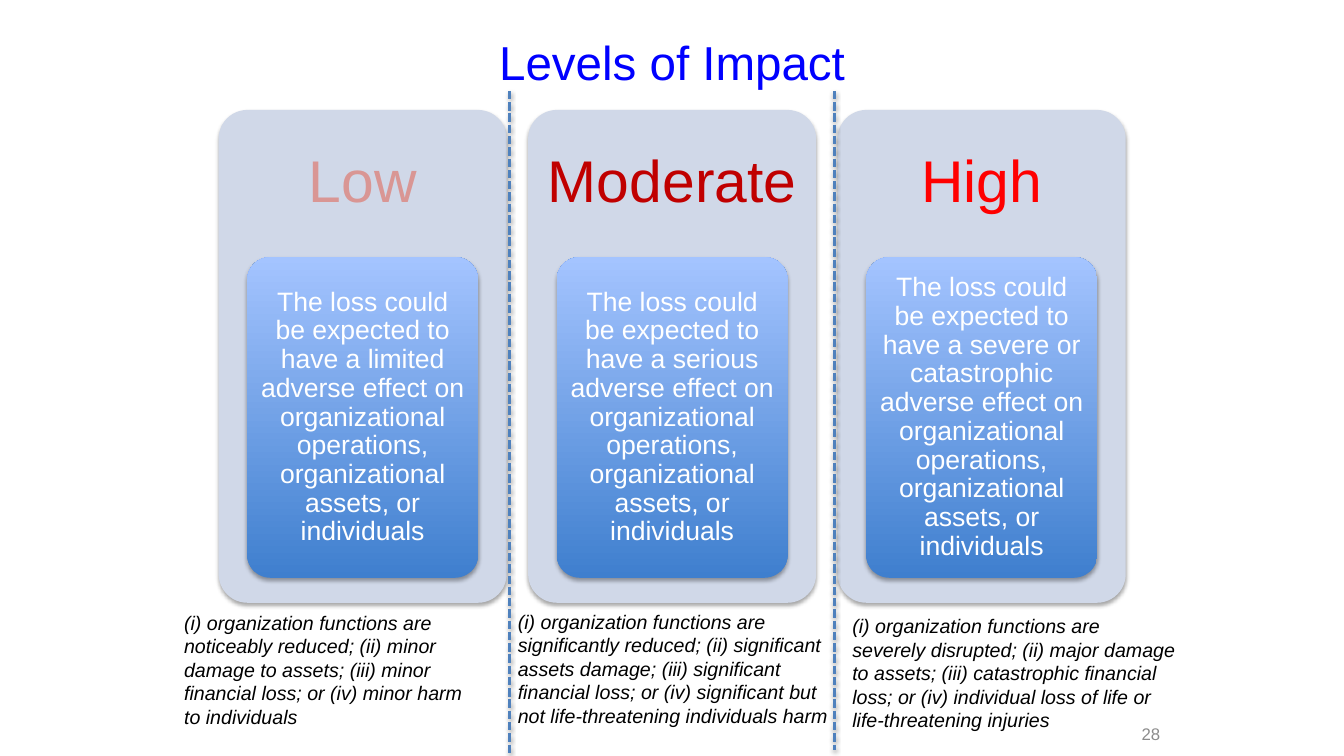
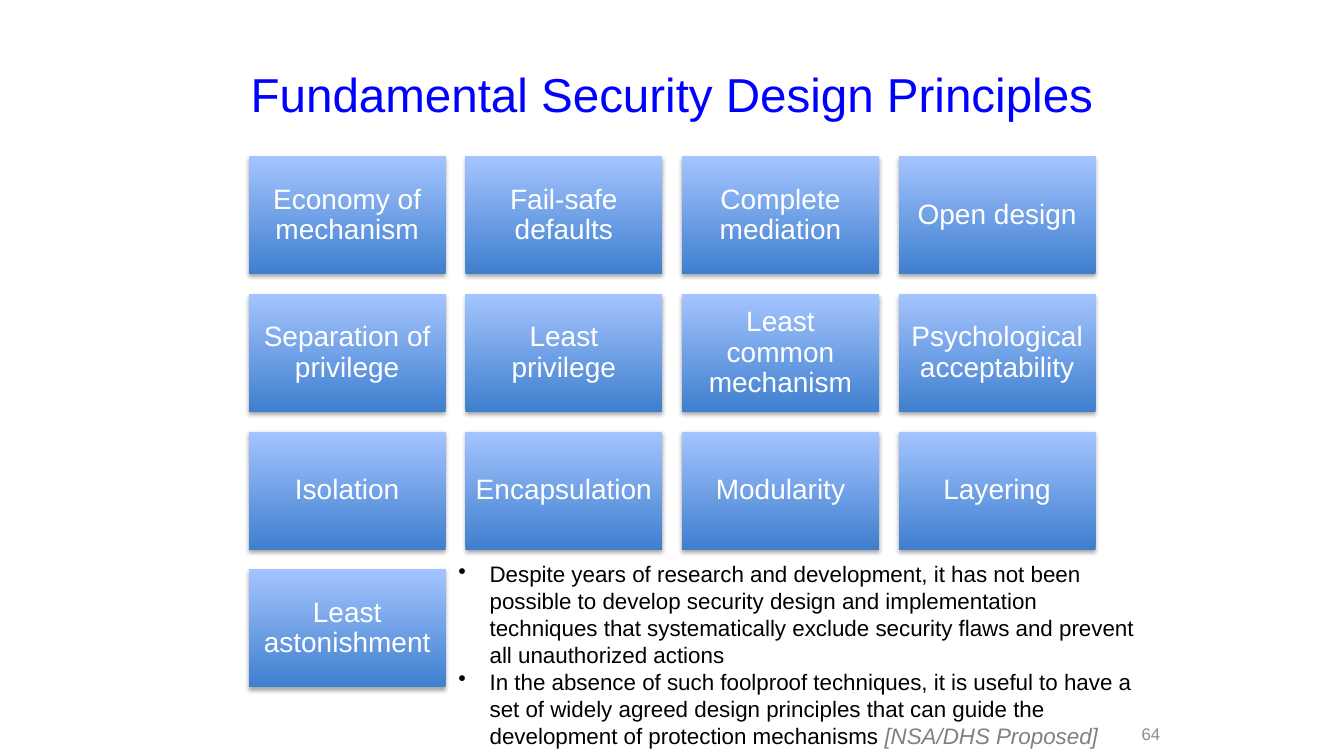
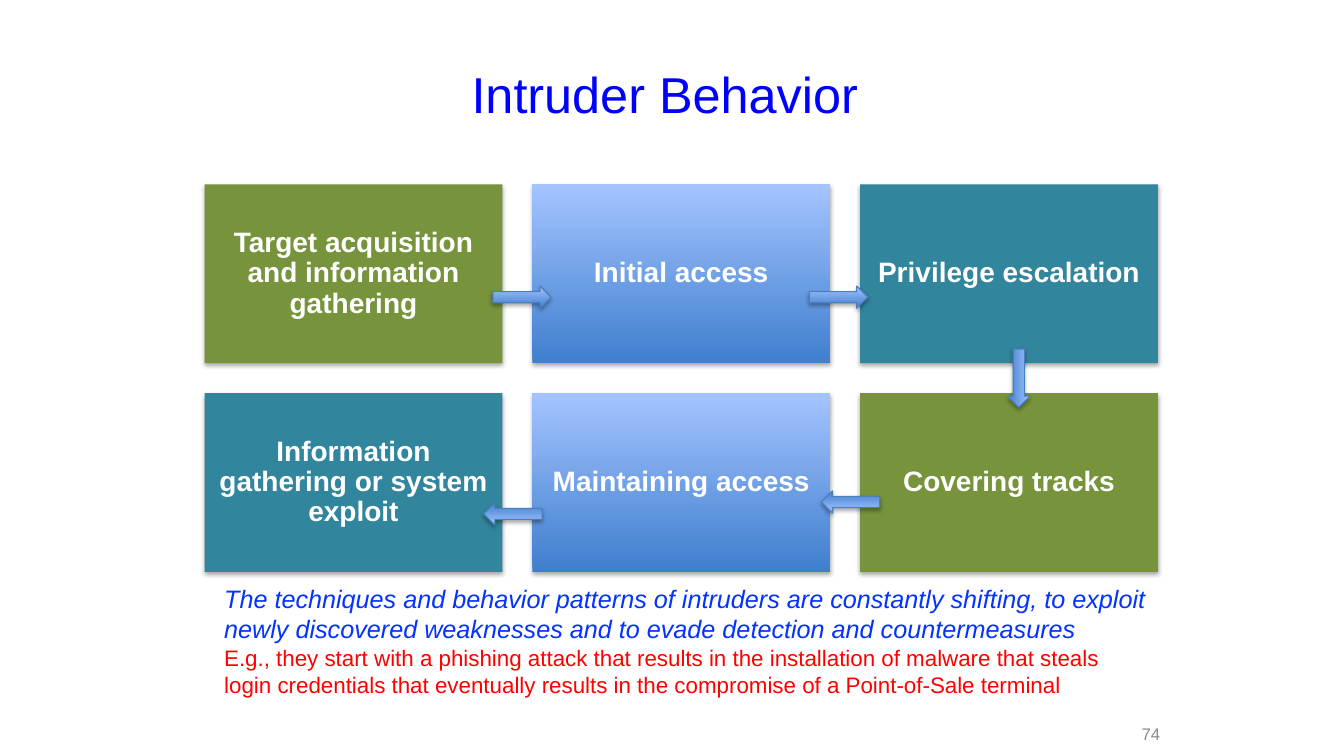
from dataclasses import dataclass

from lxml.etree import SubElement
from pptx import Presentation
from pptx.dml.color import RGBColor
from pptx.enum.dml import MSO_LINE
from pptx.enum.shapes import MSO_CONNECTOR, MSO_SHAPE as Preset
from pptx.enum.text import MSO_ANCHOR as Anchor, PP_ALIGN as Align
from pptx.oxml.ns import qn
from pptx.util import Cm, Pt


@dataclass(frozen=True)
class Theme:
    font: str = "Arial"
    title: str = "0000FF"
    page: str = "8C8C8C"
    ink: str = "000000"
    light: str = "FFFFFF"
    panel: str = "D0D8E8"
    gradient: tuple = ("3F7FCE", "A4C4FF")
    green: str = "77933C"
    teal: str = "31859C"
    divider: str = "4F81BD"
    arrow_edge: str = "4B7EBC"
    low: str = "D99694"
    moderate: str = "C00000"
    high: str = "FF0000"
    remark: str = "0432FF"
    citation: str = "808080"
    title_size: int = 34
    wide_title_size: int = 36
    level_size: int = 42
    tile_size: int = 20
    card_size: int = 19
    remark_size: int = 18
    body_size: int = 16
    note_size: int = 14
    page_size: int = 12


THEME = Theme()


@dataclass(frozen=True)
class Type:
    size: int
    color: str
    bold: bool = False
    italic: bool = False


class Deck:
    def __init__(self, theme):
        self.theme = theme
        self.presentation = Presentation()
        self.presentation.slide_width = Cm(33.87)
        self.presentation.slide_height = Cm(19.05)
        self.slide = None

    def start(self, title, page, box, size):
        self.slide = self.presentation.slides.add_slide(self.presentation.slide_layouts[6])
        theme = self.theme
        self.text(box, [[(title, Type(size, theme.title))]], Align.CENTER, Anchor.MIDDLE)
        self.text((27.76, 18.29, 1.73, 0.38), [[(page, Type(theme.page_size, theme.page))]],
                  Align.RIGHT, Anchor.MIDDLE)

    def typeset(self, frame, paragraphs, align, anchor, spacing=None, bulleted=False):
        frame.word_wrap = True
        frame.vertical_anchor = anchor
        for index, pieces in enumerate(paragraphs):
            paragraph = frame.add_paragraph() if index else frame.paragraphs[0]
            paragraph.alignment = align
            paragraph.line_spacing = spacing
            if bulleted:
                properties = paragraph._p.get_or_add_pPr()
                properties.set("marL", str(Cm(0.79)))
                properties.set("indent", str(-Cm(0.79)))
                SubElement(properties, qn("a:buChar"), char="•")
            paragraph.text = pieces[0][0]
            for words, _ in pieces[1:]:
                paragraph.add_run().text = words
            for run, (_, style) in zip(paragraph.runs, pieces):
                run.font.name = self.theme.font
                run.font.size = Pt(style.size)
                run.font.bold = style.bold
                run.font.italic = style.italic
                run.font.color.rgb = RGBColor.from_string(style.color)

    def text(self, box, paragraphs, align=Align.LEFT, anchor=Anchor.TOP, bulleted=False):
        frame = self.slide.shapes.add_textbox(*map(Cm, box)).text_frame
        self.typeset(frame, paragraphs, align, anchor, bulleted=bulleted)

    def shadow(self, effects, alpha, distance):
        outer = SubElement(effects, qn("a:outerShdw"), blurRad=str(Pt(3.1)),
                           dist=str(Pt(distance)), dir="5400000", rotWithShape="0")
        black = SubElement(outer, qn("a:srgbClr"), val="000000")
        SubElement(black, qn("a:alpha"), val=str(alpha * 1000))

    def block(self, preset, box, fill=None, edge=None):
        block = self.slide.shapes.add_shape(preset, *map(Cm, box))
        if preset == Preset.ROUNDED_RECTANGLE:
            block.adjustments[0] = 0.1
        if fill:
            block.fill.solid()
            block.fill.fore_color.rgb = RGBColor.from_string(fill)
        else:
            block.fill.gradient()
            block.fill.gradient_angle = 90
            for stop, color in zip(block.fill.gradient_stops, self.theme.gradient):
                stop.color.rgb = RGBColor.from_string(color)
        if edge:
            block.line.color.rgb = RGBColor.from_string(edge)
            block.line.width = Pt(0.75)
        else:
            block.line.fill.background()
        block.shadow.inherit = False
        self.shadow(block.element.spPr.find(qn("a:effectLst")), 35, 1.8)
        return block

    def label(self, preset, box, words, style, margins, fill=None):
        frame = self.block(preset, box, fill).text_frame
        (frame.margin_left, frame.margin_top,
         frame.margin_right, frame.margin_bottom) = map(Cm, margins)
        self.typeset(frame, [[(words, style)]], Align.CENTER, Anchor.MIDDLE, 0.9)

    def tiles(self, entries, columns, origin, size, gap, style):
        for index, (words, fill) in enumerate(entries):
            row, column = divmod(index, columns)
            box = (origin[0] + column * (size[0] + gap),
                   origin[1] + row * (size[1] + gap), *size)
            self.label(Preset.RECTANGLE, box, words, style, (0.21,) * 4, fill)

    def arrow(self, left, top, rotation):
        arrow = self.block(Preset.RIGHT_ARROW, (left, top, 1.47, 0.56), edge=self.theme.arrow_edge)
        arrow.rotation = rotation

    def divider(self, x, top, bottom):
        divider = self.slide.shapes.add_connector(
            MSO_CONNECTOR.STRAIGHT, Cm(x), Cm(top), Cm(x), Cm(bottom))
        divider.line.color.rgb = RGBColor.from_string(self.theme.divider)
        divider.line.width = Pt(2)
        divider.line.dash_style = MSO_LINE.SQUARE_DOT
        self.shadow(SubElement(divider.element.spPr, qn("a:effectLst")), 38, 1.6)


def impact_levels(deck):
    theme = deck.theme
    deck.start("Levels of Impact", "28", (5.51, -0.05, 22.86, 3.18), theme.title_size)
    levels = [
        ("Low", theme.low, "limited", (4.39, 15.26, 7.54, 3.25),
         "(i) organization functions are noticeably reduced; (ii) minor damage to assets; "
         "(iii) minor financial loss; or (iv) minor harm to individuals"),
        ("Moderate", theme.moderate, "serious", (12.8, 15.24, 8.69, 3.25),
         "(i) organization functions are significantly reduced; (ii) significant assets damage; "
         "(iii) significant financial loss; or (iv) significant but not life-threatening "
         "individuals harm"),
        ("High", theme.high, "severe or catastrophic", (21.23, 15.35, 8.69, 3.25),
         "(i) organization functions are severely disrupted; (ii) major damage to assets; "
         "(iii) catastrophic financial loss; or (iv) individual loss of life or "
         "life-threatening injuries"),
    ]
    for index, (level, color, severity, note_box, note) in enumerate(levels):
        left = 5.51 + index * 7.8
        deck.label(Preset.ROUNDED_RECTANGLE, (left, 2.77, 7.26, 12.42), level,
                   Type(theme.level_size, color), (0, 0, 0, 8.69), theme.panel)
        loss = (f"The loss could be expected to have a {severity} adverse effect on "
                "organizational operations, organizational assets, or individuals")
        deck.label(Preset.ROUNDED_RECTANGLE, (left + 0.72, 6.48, 5.82, 8.08), loss,
                   Type(theme.card_size, theme.light), (0.13, 0.1, 0.13, 0.1))
        deck.text(note_box, [[(note, Type(theme.note_size, theme.ink, italic=True))]])
    deck.divider(12.85, 2.29, 19.05)
    deck.divider(21.03, 2.29, 18.9)


def design_principles(deck):
    theme = deck.theme
    deck.start("Fundamental Security Design Principles", "64",
               (1.7, 0.76, 30.48, 3.18), theme.title_size)
    principles = [
        "Economy of mechanism", "Fail-safe defaults", "Complete mediation", "Open design",
        "Separation of privilege", "Least privilege", "Least common mechanism",
        "Psychological acceptability", "Isolation", "Encapsulation", "Modularity", "Layering",
        "Least astonishment",
    ]
    deck.tiles([(principle, None) for principle in principles], 4, (6.27, 3.94),
               (4.96, 2.97), 0.5, Type(theme.tile_size, theme.light))
    body = Type(theme.body_size, theme.ink)
    deck.text((11.3, 14, 17.73, 5.05), [
        [("Despite years of research and development, it has not been possible to develop "
          "security design and implementation techniques that systematically exclude security "
          "flaws and prevent all unauthorized actions", body)],
        [("In the absence of such foolproof techniques, it is useful to have a set of widely "
          "agreed design principles that can guide the development of protection mechanisms ",
          body),
         ("[NSA/DHS Proposed]", Type(theme.body_size, theme.citation, italic=True))],
    ], bulleted=True)


def intruder_behavior(deck):
    theme = deck.theme
    deck.start("Intruder Behavior", "74", (5.16, 0.76, 23.19, 3.18), theme.wide_title_size)
    stages = [
        ("Target acquisition and information gathering", theme.green),
        ("Initial access", None),
        ("Privilege escalation", theme.teal),
        ("Information gathering or system exploit", theme.teal),
        ("Maintaining access", None),
        ("Covering tracks", theme.green),
    ]
    deck.tiles(stages, 3, (5.16, 4.65), (7.5, 4.5), 0.76,
               Type(theme.tile_size, theme.light, bold=True))
    deck.text((5.4, 14.58, 23.77, 3.18), [
        [("The techniques and behavior patterns of intruders are constantly shifting, to exploit "
          "newly discovered weaknesses and to evade detection and countermeasures",
          Type(theme.remark_size, theme.remark, italic=True))],
        [("E.g., they start with a phishing attack that results in the installation of malware "
          "that steals login credentials that eventually results in the compromise of a "
          "Point-of-Sale terminal", Type(theme.body_size, theme.high))],
    ])
    for left, top, rotation in [(12.42, 7.21, 0), (20.4, 7.21, 0), (24.94, 9.25, 90),
                                (20.7, 12.37, 180), (12.19, 12.67, 180)]:
        deck.arrow(left, top, rotation)


def main():
    deck = Deck(THEME)
    for build in (impact_levels, design_principles, intruder_behavior):
        build(deck)
    deck.presentation.save("out.pptx")


if __name__ == "__main__":
    main()
